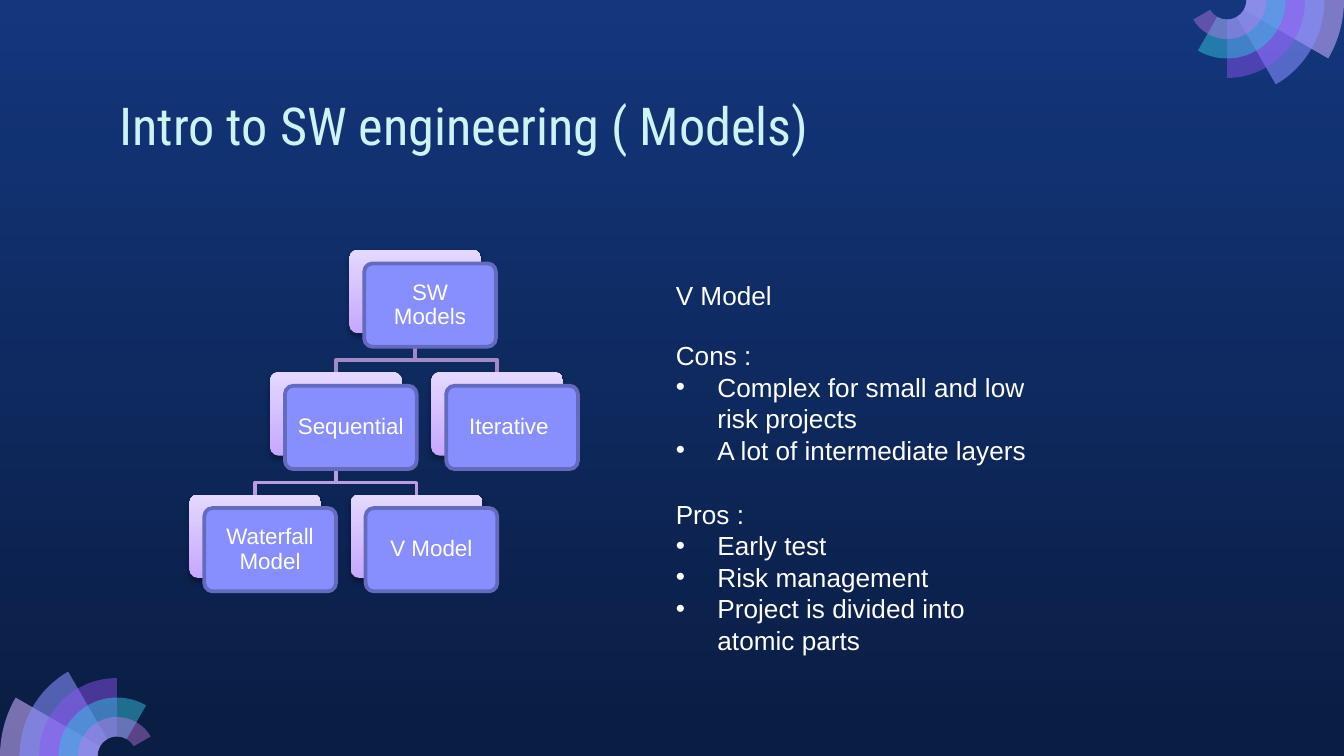
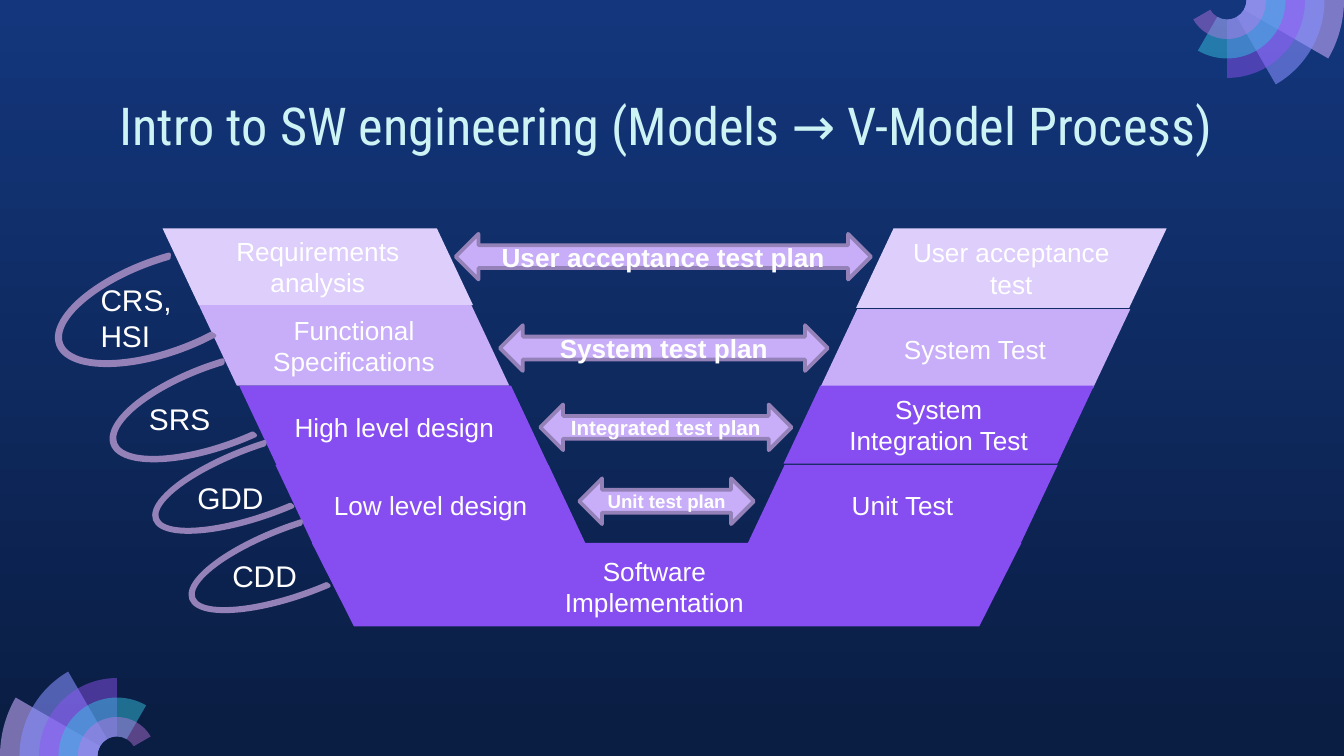
import math

import lxml.etree
import pptx
import pptx.dml.color
import pptx.enum.shapes
import pptx.enum.text
import pptx.oxml.ns
import pptx.util

Inches = pptx.util.Inches
Pt = pptx.util.Pt
qn = pptx.oxml.ns.qn
SHAPE = pptx.enum.shapes.MSO_SHAPE
ALIGN = pptx.enum.text.PP_ALIGN
ANCHOR = pptx.enum.text.MSO_ANCHOR

# Shared style
WIDTH, HEIGHT = 10, 5.625
WHITE, TITLE_COLOR = "FFFFFF", "CEF3F5"
NAVY_TOP, NAVY_BOTTOM = "13367C", "0A1D42"
PALE, LILAC, VIOLET = "DECEFB", "C8AEF8", "864DF0"
LILAC_EDGE = "9481B7"
BODY_FONT, TITLE_FONT = "Arial", "Roboto Condensed"
# Fan petals from the widest ring inwards: colour, opacity in percent
PETALS = [("C8ACFD", 58), ("878FFF", 58), ("9154F8", 46), ("35C2DF", 49), ("CA7BEB", 42)]
RING = 0.145


def rgb(color):
    return pptx.dml.color.RGBColor.from_string(color)


def set_gradient(fill, start, end, angle):
    fill.gradient()
    fill.gradient_angle = angle
    for stop, color in zip(fill.gradient_stops, (start, end)):
        stop.color.rgb = rgb(color)


def set_alpha(color_element, percent):
    lxml.etree.SubElement(color_element, qn("a:alpha"), val=str(percent * 1000))


def paint(shape, fill=None, line=None):
    shape.shadow.inherit = False
    if fill:
        shape.fill.solid()
        shape.fill.fore_color.rgb = rgb(fill)
    else:
        shape.fill.background()
    if line:
        shape.line.color.rgb = rgb(line)
        shape.line.width = Pt(2)
    else:
        shape.line.fill.background()


def add_span(para, text, size, color=WHITE, font=BODY_FONT, bold=False):
    span = para.add_run()
    span.text = text
    span.font.size = Pt(size)
    span.font.name = font
    span.font.bold = bold
    span.font.color.rgb = rgb(color)


def add_block(page, kind, left, top, width, height, fill, line=None):
    shape = page.shapes.add_shape(
        kind, Inches(left), Inches(top), Inches(width), Inches(height))
    paint(shape, fill, line)
    return shape


def label(shape, text, size, bold=False):
    """Write centred text in a shape."""
    frame = shape.text_frame
    frame.word_wrap = True
    frame.vertical_anchor = ANCHOR.MIDDLE
    para = frame.paragraphs[0]
    para.alignment = ALIGN.CENTER
    for number, part in enumerate(text.split("\n")):
        if number:
            para.add_line_break()
        add_span(para, part, size, bold=bold)


def add_text(page, left, top, width, height):
    box = page.shapes.add_textbox(
        Inches(left), Inches(top), Inches(width), Inches(height))
    box.text_frame.word_wrap = True
    return box


def add_note(page, left, top, width, height, heading, size, bullets=()):
    """Write a heading with bulleted lines under it."""
    box = add_text(page, left, top, width, height)
    frame = box.text_frame
    add_span(frame.paragraphs[0], heading, size)
    for bullet in bullets:
        add_span(frame.add_paragraph(), bullet, size)
    indent = Inches(0.31)
    for para in box.element.txBody.p_lst[1:]:
        props = para.get_or_add_pPr()
        props.set("marL", str(indent))
        props.set("indent", str(-indent))
        color = lxml.etree.SubElement(props, qn("a:buClr"))
        lxml.etree.SubElement(color, qn("a:srgbClr"), val=WHITE)
        lxml.etree.SubElement(props, qn("a:buFont"), typeface=BODY_FONT)
        lxml.etree.SubElement(props, qn("a:buChar"), char="•")


def add_outline(page, points, close):
    scaled = [(Inches(x), Inches(y)) for x, y in points]
    builder = page.shapes.build_freeform(*scaled[0])
    builder.add_line_segments(scaled[1:], close=close)
    return builder.convert_to_shape()


# Layout: background and corner fans
def add_petal(page, center_x, center_y, direction, radius, sweep):
    """Draw a ring sector whose arcs are Bézier curves."""
    def place(distance, degree, pull=0):
        angle = math.radians(degree)
        across = distance * (math.cos(angle) - pull * math.sin(angle))
        along = distance * (math.sin(angle) + pull * math.cos(angle))
        return center_x - direction * across, center_y - direction * along

    degrees = sorted({0, min(sweep, 90), sweep})
    knots = [(radius, degree) for degree in degrees]
    knots += [(RING, degree) for degree in reversed(degrees)]
    petal = add_outline(page, [place(*knot) for knot in knots], True)

    # Bend every side that stays on one radius
    sides = list(petal.element.spPr.iter(qn("a:lnTo")))
    for side, (distance, start), (end_distance, end) in zip(sides, knots, knots[1:]):
        if distance != end_distance:
            continue
        pull = 4 / 3 * math.tan(math.radians(end - start) / 4)
        curve = lxml.etree.Element(qn("a:cubicBezTo"))
        for x, y in (place(distance, start, pull), place(distance, end, -pull)):
            lxml.etree.SubElement(curve, qn("a:pt"), x=str(Inches(x) - petal.left),
                                  y=str(Inches(y) - petal.top))
        curve.append(side[0])
        side.getparent().replace(side, curve)
    return petal


def add_fan(layout, page, center_x, center_y, direction):
    """Move a fan to the layout; direction 1 opens up and left, -1 the other way."""
    for number, (color, opacity) in enumerate(PETALS):
        petal = add_petal(page, center_x, center_y, direction,
                          RING * (6 - number), 30 * (number + 1))
        paint(petal, color)
        set_alpha(petal.element.spPr.find(".//" + qn("a:srgbClr")), opacity)
        layout.shapes.element.append(petal.element)


def decorate_layout(layout, page):
    set_gradient(layout.background.fill, NAVY_TOP, NAVY_BOTTOM, 270)
    for holder in list(layout.placeholders)[1:]:
        layout.shapes.element.remove(holder.element)
    add_fan(layout, page, 6 * RING, HEIGHT, 1)
    add_fan(layout, page, WIDTH - 6 * RING, 0, -1)


def set_title(page, text):
    title = page.shapes.title
    title.left, title.top = Inches(0.79), Inches(0.59)
    title.width, title.height = Inches(8.43), Inches(0.63)
    frame = title.text_frame
    frame.auto_size = pptx.enum.text.MSO_AUTO_SIZE.NONE
    frame.word_wrap = True
    frame.vertical_anchor = ANCHOR.TOP
    frame.margin_left = frame.margin_right = Inches(0.1)
    frame.margin_top = frame.margin_bottom = Inches(0.1)
    para = frame.paragraphs[0]
    para.alignment = ALIGN.LEFT
    add_span(para, text, 28, TITLE_COLOR, TITLE_FONT)


# Slide 1: tree of models
NODE_WIDTH, NODE_HEIGHT = 0.98, 0.62
TREE_TOP, TREE_STEP = 1.86, 0.91


def add_node(page, center, level, text):
    """Draw a shaded card with the labelled card in front of it."""
    left, top = center - NODE_WIDTH / 2, TREE_TOP + level * TREE_STEP
    back = add_block(page, SHAPE.ROUNDED_RECTANGLE, left, top,
                     NODE_WIDTH, NODE_HEIGHT, LILAC)
    set_gradient(back.fill, "C6A7FF", "E4D8FF", 90)
    effects = back.element.spPr.find(qn("a:effectLst"))
    shadow = lxml.etree.SubElement(
        effects, qn("a:outerShdw"), blurRad=str(Pt(3.1)), dist=str(Pt(1.8)),
        dir="5400000", rotWithShape="0")
    set_alpha(lxml.etree.SubElement(shadow, qn("a:srgbClr"), val="000000"), 35)

    front = add_block(page, SHAPE.ROUNDED_RECTANGLE, left + 0.11, top + 0.1,
                      NODE_WIDTH, NODE_HEIGHT, "878FFF", "646ABD")
    back.adjustments[0] = front.adjustments[0] = 0.1
    label(front, text, 12)
    frame = front.text_frame
    frame.margin_left = frame.margin_right = Inches(0.05)
    frame.margin_top = frame.margin_bottom = Inches(0.05)
    frame.paragraphs[0].line_spacing = 0.9


def add_branch(page, parent, child, level, color):
    start = TREE_TOP + level * TREE_STEP + NODE_HEIGHT
    end = TREE_TOP + (level + 1) * TREE_STEP
    bend = start + 0.2
    branch = add_outline(
        page, [(parent, start), (parent, bend), (child, bend), (child, end)], False)
    paint(branch, line=color)


def build_models(page):
    set_title(page, "Intro to SW engineering ( Models)")
    root, sequential, iterative, waterfall, v_model = 3.09, 2.5, 3.7, 1.9, 3.1
    for child in (iterative, sequential):
        add_branch(page, root, child, 0, "A08BC7")
    for child in (v_model, waterfall):
        add_branch(page, sequential, child, 1, "B69EE1")
    for center, level, text in [
            (root, 0, "SW Models"), (sequential, 1, "Sequential"),
            (waterfall, 2, "Waterfall Model"), (v_model, 2, "V Model"),
            (iterative, 1, "Iterative ")]:
        add_node(page, center, level, text)

    add_note(page, 4.93, 2.03, 0.98, 0.34, "V Model", 14)
    add_note(page, 4.93, 2.48, 2.85, 1.04, "Cons :", 14,
             ["Complex for small and low risk projects",
              "A lot of intermediate layers"])
    add_note(page, 4.93, 3.66, 2.91, 1.28, "Pros :", 14,
             ["Early test", "Risk management",
              "Project is divided into atomic parts"])


# Slide 2: V-model process
def add_stage(page, left, top, height, fill, text, mirrored=False):
    stage = add_block(page, SHAPE.PARALLELOGRAM, left, top, 2.31, height, fill)
    stage.adjustments[0] = 0.471
    if mirrored:
        stage.element.spPr.xfrm.set("flipH", "1")
    label(stage, text, 14)


def add_loop(page, left, top, width, start):
    loop = add_block(page, SHAPE.BLOCK_ARC, left, top, width, 1.69, LILAC, LILAC_EDGE)
    for number, value in enumerate((start, 14.952, 0.036)):
        loop.adjustments[number] = value
    loop.rotation = 249.9


def build_process(page):
    set_title(page, "Intro to SW engineering (Models → V-Model Process)")

    # Bottom of the V
    base = add_block(page, SHAPE.TRAPEZOID, 2.32, 4.04, 5.28, 0.62, VIOLET)
    base.adjustments[0] = 0.505
    base.element.spPr.xfrm.set("flipV", "1")
    label(add_text(page, 4.09, 4.08, 1.56, 0.57), "Software\nImplementation", 14)

    # Design side, then test side
    fills = [PALE, LILAC, VIOLET, VIOLET]
    designs = [(1.21, 1.7, 0.57, "Requirements analysis"),
               (1.48, 2.27, 0.6, "Functional Specifications"),
               (1.78, 2.87, 0.61, "High level design"),
               (2.05, 3.46, 0.59, "Low level design")]
    for fill, (left, top, height, text) in zip(fills, designs):
        add_stage(page, left, top, height, fill, text, mirrored=True)
    tests = [(1.7, 0.59, "User acceptance test"), (2.3, 0.59, "System Test"),
             (2.87, 0.58, "System Integration Test"), (3.46, 0.59, "Unit Test")]
    for row, (fill, (top, height, text)) in enumerate(zip(fills, tests)):
        add_stage(page, 6.37 - 0.27 * row, top, height, fill, text)

    # Test plans between the sides
    for left, top, width, size, text in [
            (3.39, 1.74, 3.09, 14, "User acceptance test plan"),
            (3.72, 2.42, 2.44, 14, "System test plan"),
            (4.02, 3.01, 1.87, 11, "Integrated test plan"),
            (4.31, 3.56, 1.3, 10, "Unit test plan")]:
        arrow = add_block(page, SHAPE.LEFT_RIGHT_ARROW, left, top, width, 0.34,
                          LILAC, LILAC_EDGE)
        label(arrow, text, size, bold=True)

    # Documents handed from stage to stage
    for left, top, width, start in [
            (0.87, 1.43, 0.71, 84.616), (1.32, 2.17, 0.62, 89.942),
            (1.68, 2.73, 0.53, 89.942), (1.95, 3.32, 0.53, 89.942)]:
        add_loop(page, left, top, width, start)
    for left, top, width, height, text in [
            (0.65, 2.05, 1.04, 0.64, "CRS, HSI"), (1.01, 2.93, 0.99, 0.37, "SRS"),
            (1.37, 3.52, 0.84, 0.37, "GDD"), (1.63, 4.1, 0.98, 0.37, "CDD")]:
        add_note(page, left, top, width, height, text, 16)


def main():
    deck = pptx.Presentation()
    deck.slide_width, deck.slide_height = Inches(WIDTH), Inches(HEIGHT)
    layout = deck.slide_layouts.get_by_name("Title Only")
    models = deck.slides.add_slide(layout)
    process = deck.slides.add_slide(layout)
    decorate_layout(layout, models)
    build_models(models)
    build_process(process)
    deck.save("out.pptx")


if __name__ == "__main__":
    main()
